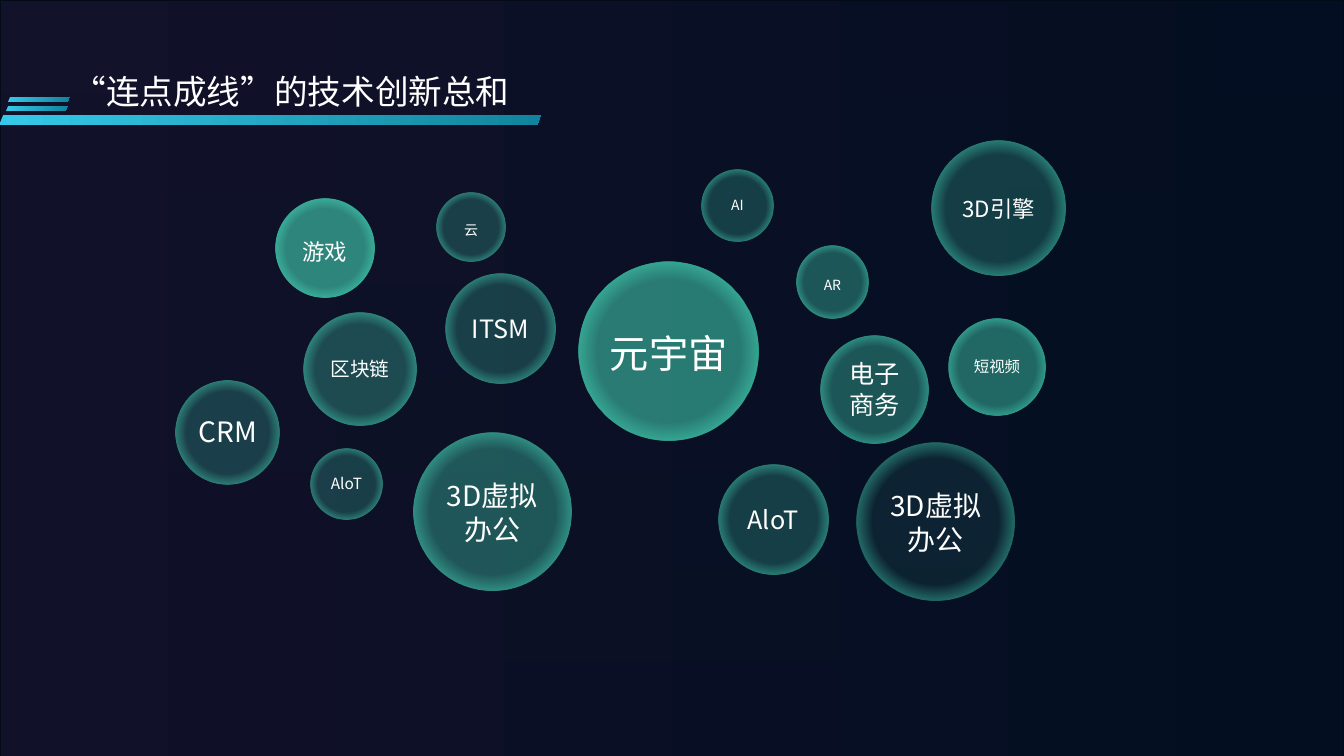
import pptx
import pptx.dml.color
import pptx.enum.shapes
import pptx.enum.text
import pptx.oxml
import pptx.oxml.ns
import pptx.util

SHAPE = pptx.enum.shapes.MSO_SHAPE
ALIGN = pptx.enum.text.PP_ALIGN
FIT = pptx.enum.text.MSO_AUTO_SIZE
QN = pptx.oxml.ns.qn
COLS, ROWS = 80, 45
HUES = {"night": "13132B", "deep": "040F22", "edge": "030B19", "sky": "35C9E9",
        "sea": "11849D", "mint": "4FFBD1", "white": "FFFFFF"}
RADIAL = '<a:path path="circle"><a:fillToRect l="50000" t="50000" r="50000" b="50000"/></a:path>'
LINEAR = '<a:lin ang="0" scaled="0"/>'

# Left, top, width, height in grid cells
BARS = [(-0.06, 6.84, 32.28, 0.6), (0.36, 6.3, 3.66, 0.3), (0.48, 5.76, 3.66, 0.3)]

# Label, left, top, diameter, opacity at the core, text size, label top, label height
BUBBLES = [
    ("游戏", 16.4, 11.8, 5.9, 50, 16, 13.86, 1.7),
    ("AR", 47.4, 14.65, 4.3, 30, 10, 16.14, 1.6),
    ("AI", 41.75, 10.1, 4.3, 20, 10, 11.4, 1.7),
    ("电子商务", 48.85, 20, 6.4, 30, 18, 21.06, 4.3),
    ("云", 26, 11.45, 4.1, 20, 10, 12.9, 1),
    ("3D虚拟\n办公", 24.6, 25.75, 9.4, 30, 20, 28.2, 4.5),
    ("区块链", 18.05, 18.6, 6.75, 25, 14, 20.94, 2),
    ("元宇宙", 34.45, 15.55, 10.7, 45, 28, 19.32, 3.1),
    ("短视频", 56.45, 18.95, 5.8, 38, 11, 20.94, 1.7),
    ("CRM", 10.45, 22.65, 6.2, 20, 20, 24.36, 1.7),
    ("3D虚拟\n办公", 51, 26.35, 9.4, 8, 20, 28.8, 4.5),
    ("AloT", 42.75, 27.65, 6.55, 20, 18, 29.7, 2),
    ("AloT", 18.5, 26.7, 4.25, 20, 11, 27.9, 1.7),
    ("ITSM", 26.5, 16.3, 6.55, 20, 18, 18.36, 2.4),
]


def shade(hue):
    return pptx.dml.color.RGBColor.from_string(HUES[hue])


class Deck:
    """Holds the style and the current slide; lengths are grid cells."""

    def __init__(self):
        self.show = pptx.Presentation()
        self.show.slide_width = pptx.util.Inches(13.333)
        self.show.slide_height = pptx.util.Inches(7.5)
        self.slide = self.show.slides.add_slide(self.show.slide_layouts[6])
        self.font = {"name": "Noto Sans CJK JP"}

    def area(self, left, top, wide, high):
        col, row = self.show.slide_width / COLS, self.show.slide_height / ROWS
        return [round(v) for v in (left * col, top * row, wide * col, high * row)]

    def back(self, first, last):
        fill = self.slide.background.fill
        fill.gradient()
        fill.gradient_angle = 270
        for stop, hue in zip(fill.gradient_stops, (first, last)):
            stop.color.rgb = shade(hue)

    def blend(self, shape, stops, way):
        """Fill with (position, hue, opacity) stops."""
        marks = "".join(
            f'<a:gs pos="{pos * 1000}"><a:srgbClr val="{HUES[hue]}">'
            f'<a:alpha val="{alpha * 1000}"/></a:srgbClr></a:gs>'
            for pos, hue, alpha in stops)
        fill = pptx.oxml.parse_xml(
            f'<a:gradFill {pptx.oxml.ns.nsdecls("a")} rotWithShape="1">'
            f'<a:gsLst>{marks}</a:gsLst>{way}</a:gradFill>')
        shape.fill.background()
        props = shape.element.spPr
        props.replace(props.find(QN("a:noFill")), fill)

    def form(self, kind, box, stops, way=LINEAR, home=None):
        shape = (home or self.slide).shapes.add_shape(kind, *self.area(*box))
        shape.shadow.inherit = False
        shape.line.fill.background()
        self.blend(shape, stops, way)
        return shape

    def label(self, frame, text, size, align=ALIGN.CENTER, **form):
        for key, val in {"word_wrap": True, **form}.items():
            setattr(frame, key, val)
        frame.text = text
        for para in frame.paragraphs:
            para.alignment = align
            for run in para.runs:
                look = {**self.font, "size": pptx.util.Pt(size)}
                for key, val in look.items():
                    setattr(run.font, key, val)
                run.font.color.rgb = shade("white")
                latin = run._r.rPr.find(QN("a:latin"))
                latin.addnext(latin.makeelement(QN("a:ea"), {"typeface": self.font["name"]}))

    def title(self, text, box):
        frame = self.slide.shapes.add_textbox(*self.area(*box)).text_frame
        self.label(frame, text, 24, ALIGN.LEFT, margin_left=0, margin_right=0)
        frame.paragraphs[0].line_spacing = 0.9

    def ball(self, left, top, size, core, home=None):
        stops = [(56, "mint", core), (100, "mint", 100)]
        return self.form(SHAPE.OVAL, (left, top, size, size), stops, RADIAL, home)

    def bubble(self, text, left, top, size, core, points, head, high):
        """A ball grouped with a label over the middle 80% of its width."""
        group = self.slide.shapes.add_group_shape()
        self.ball(left, top, size, core, group)
        box = self.area(left + size * 0.1, head, size * 0.8, high)
        frame = group.shapes.add_textbox(*box).text_frame
        self.label(frame, text, points, auto_size=FIT.SHAPE_TO_FIT_TEXT)


def main():
    deck = Deck()
    deck.back("night", "deep")
    veil = deck.form(SHAPE.RECTANGLE, (0, 0, COLS, 45.12),
                     [(0, "night", 96), (100, "deep", 90)])
    veil.line.color.rgb = shade("edge")
    veil.line.width = pptx.util.Pt(1)
    for box in BARS:
        bar = deck.form(SHAPE.PARALLELOGRAM, box, [(0, "sky", 100), (100, "sea", 100)])
        bar.adjustments[0] = 0.43
    deck.title("“连点成线”的技术创新总和", (4.32, 4.2, 27.9, 2.58))
    for item in BUBBLES:
        deck.bubble(*item)
    engine = deck.ball(55.45, 8.4, 8, 20)
    deck.label(engine.text_frame, "3D引擎", 16,
               vertical_anchor=pptx.enum.text.MSO_ANCHOR.MIDDLE)
    deck.show.save("out.pptx")


if __name__ == "__main__":
    main()
